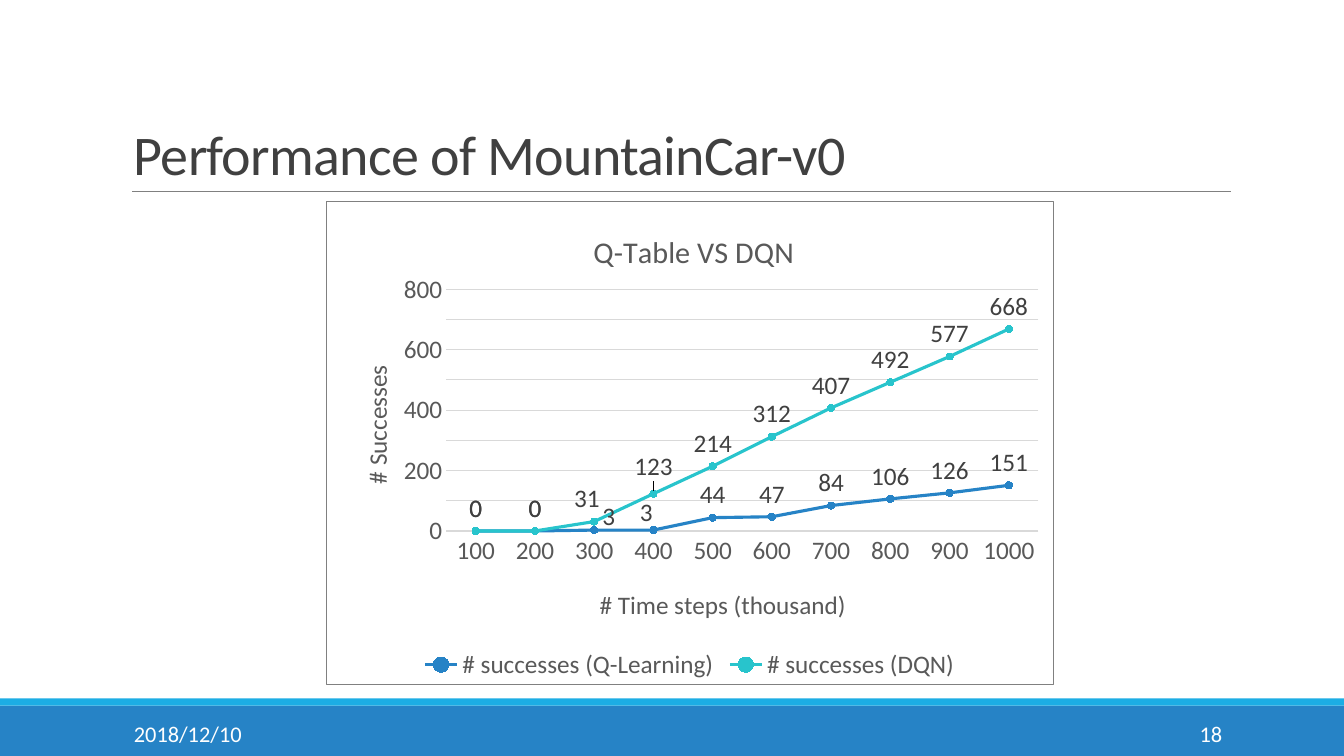
from lxml.etree import SubElement
from pptx import Presentation
from pptx.chart.data import CategoryChartData
from pptx.dml.color import RGBColor
from pptx.enum.chart import (XL_CHART_TYPE, XL_LABEL_POSITION, XL_LEGEND_POSITION,
                             XL_MARKER_STYLE, XL_TICK_MARK)
from pptx.enum.shapes import MSO_CONNECTOR, MSO_SHAPE
from pptx.enum.text import MSO_ANCHOR, PP_ALIGN
from pptx.oxml import parse_xml
from pptx.oxml.ns import nsdecls, qn
from pptx.util import Inches, Pt

COLORS = {
    "blue": "2683C6", "cyan": "1CADE4", "teal": "28C4CC", "white": "FFFFFF",
    "title": "404040", "label": "595959", "rule": "808080", "grid": "D9D9D9",
}
STEPS = [str(n) for n in range(100, 1001, 100)]
# name, colour, values, label shifts by point
SERIES = [
    ("# successes (Q-Learning)", "blue", (0, 0, 3, 3, 44, 47, 84, 106, 126, 151),
     {2: (0.02, 0.02), 3: (-0.01, 0.01)}),
    ("# successes (DQN)", "teal", (0, 0, 31, 123, 214, 312, 407, 492, 577, 668),
     {2: (-0.01, 0), 3: (0, -0.01)}),
]


def rgb(name):
    return RGBColor.from_string(COLORS[name])


def set_layout(el, after=None, **values):
    """Give a chart element a manual layout, placed behind the child named after."""
    for old in el.findall(qn("c:layout")):
        el.remove(old)
    layout = parse_xml(f"<c:layout {nsdecls('c')}/>")
    manual = SubElement(layout, qn("c:manualLayout"))
    for tag, value in values.items():
        SubElement(manual, qn(f"c:{tag}")).set("val", str(value))
    if after:
        el.find(qn(after)).addnext(layout)
    else:
        el.insert(0, layout)


class SlideBuilder:
    font = "Calibri"

    def __init__(self, prs):
        self.s = prs.slides.add_slide(prs.slide_layouts[6])

    def style(self, font, size, color):
        for key, value in {"name": self.font, "size": Pt(size), "bold": False}.items():
            setattr(font, key, value)
        font.color.rgb = rgb(color)

    def stroke(self, line, color, width):
        line.color.rgb = rgb(color)
        line.width = Pt(width)

    def bar(self, x, y, w, h, color):
        sp = self.s.shapes.add_shape(MSO_SHAPE.RECTANGLE, *map(Inches, (x, y, w, h)))
        sp.shadow.inherit = False
        sp.fill.solid()
        sp.fill.fore_color.rgb = rgb(color)
        sp.line.fill.background()

    def rule(self, x1, y1, x2, y2):
        line = self.s.shapes.add_connector(
            MSO_CONNECTOR.STRAIGHT, *map(Inches, (x1, y1, x2, y2)))
        self.stroke(line.line, "rule", 0.5)
        SubElement(line._element.spPr, qn("a:effectLst"))

    def text(self, box, text, size, color, anchor=MSO_ANCHOR.MIDDLE,
             align=PP_ALIGN.LEFT, line_spacing=1.0, spacing=0):
        tf = self.s.shapes.add_textbox(*map(Inches, box)).text_frame
        tf.word_wrap = True
        tf.vertical_anchor = anchor
        p = tf.paragraphs[0]
        p.alignment = align
        p.line_spacing = line_spacing
        r = p.add_run()
        r.text = text
        self.style(r.font, size, color)
        if spacing:
            r._r.get_or_add_rPr().set("spc", str(spacing))

    def chart_title(self, title, text, size, x, y):
        tf = title.text_frame
        tf.text = text
        self.style(tf.paragraphs[0].runs[0].font, size, "label")
        set_layout(title._element, "c:tx", xMode="edge", yMode="edge", x=x, y=y)
        return tf

    def axis(self, axis):
        axis.major_tick_mark = axis.minor_tick_mark = XL_TICK_MARK.NONE
        self.style(axis.tick_labels.font, 18, "label")

    def series(self, ser, color, shifts):
        self.stroke(ser.format.line, color, 2.25)
        ser.smooth = False
        ser.marker.style = XL_MARKER_STYLE.CIRCLE
        ser.marker.size = 5
        ser.marker.format.fill.solid()
        ser.marker.format.fill.fore_color.rgb = rgb(color)
        self.stroke(ser.marker.format.line, color, 0.75)
        labels = ser.data_labels
        labels.show_value = True
        labels.position = XL_LABEL_POSITION.ABOVE
        self.style(labels.font, 18, "title")
        for i, (x, y) in shifts.items():
            label = ser.points[i].data_label
            self.style(label.font, 18, "title")
            label.position = XL_LABEL_POSITION.ABOVE
            for dlbl in labels._element.findall(qn("c:dLbl")):
                if dlbl.find(qn("c:idx")).get("val") == str(i):
                    set_layout(dlbl, "c:idx", x=x, y=y)

    def line_chart(self, box):
        data = CategoryChartData()
        data.categories = STEPS
        for name, _, values, _ in SERIES:
            data.add_series(name, values)
        chart = self.s.shapes.add_chart(
            XL_CHART_TYPE.LINE_MARKERS, *map(Inches, box), data).chart
        self.style(chart.font, 18, "label")
        chart.has_title = True
        self.chart_title(chart.chart_title, "Q-Table VS DQN", 21.6, 0.36, 0.05)
        chart.has_legend = True
        chart.legend.position = XL_LEGEND_POSITION.BOTTOM
        chart.legend.include_in_layout = False
        self.style(chart.legend.font, 18, "label")

        steps, successes = chart.category_axis, chart.value_axis
        self.axis(steps)
        self.stroke(steps.format.line, "grid", 0.75)
        self.chart_title(steps.axis_title, "# Time steps (thousand)", 18, 0.37, 0.79)
        self.axis(successes)
        scale = {"minimum_scale": 0, "maximum_scale": 800, "major_unit": 100}
        for key, value in scale.items():
            setattr(successes, key, value)
        successes.format.line.fill.background()
        self.stroke(successes.major_gridlines.format.line, "grid", 0.75)
        tf = self.chart_title(successes.axis_title, "# Successes", 18, 0.04, 0.33)
        tf._txBody.bodyPr.set("rot", "-5400000")

        chart.plots[0].vary_by_categories = False
        for ser, (_, color, _, shifts) in zip(chart.plots[0].series, SERIES):
            self.series(ser, color, shifts)
        frame = chart._chartSpace.find(qn("c:chart"))
        set_layout(frame.find(qn("c:plotArea")), layoutTarget="inner", xMode="edge",
                   yMode="edge", x=0.165, y=0.182, w=0.815, h=0.5)
        frame.addnext(parse_xml(
            f'<c:spPr {nsdecls("c", "a")}><a:noFill/><a:ln w="9525"><a:solidFill>'
            f'<a:srgbClr val="{COLORS["rule"]}"/></a:solidFill></a:ln></c:spPr>'))


def main():
    prs = Presentation()
    prs.slide_width, prs.slide_height = Inches(13.33), Inches(7.5)
    slide = SlideBuilder(prs)
    slide.bar(0, 7, 13.33, 0.5, "blue")
    slide.bar(0, 6.93, 13.33, 0.07, "cyan")
    slide.rule(1.31, 1.9, 12.21, 1.9)
    slide.text((1.23, 0.31, 11, 1.59), "Performance of MountainCar-v0", 40, "title",
               anchor=MSO_ANCHOR.BOTTOM, line_spacing=0.85, spacing=-50)
    slide.text((1.23, 7.08, 2.7, 0.4), "2018/12/10", 16, "white")
    slide.text((10.79, 7.08, 1.43, 0.4), "18", 16, "white", align=PP_ALIGN.RIGHT)
    slide.line_chart((3.23, 1.99, 7.22, 4.81))
    prs.save("out.pptx")


if __name__ == "__main__":
    main()
